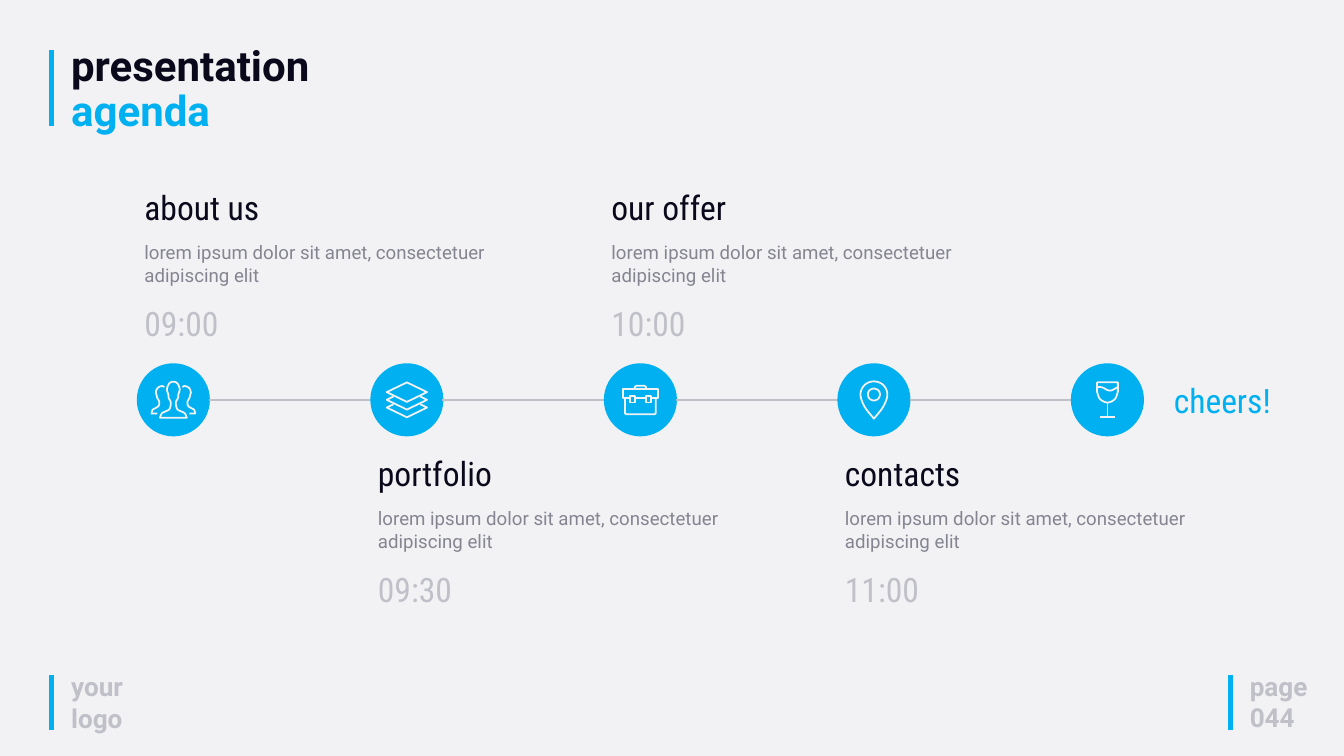
from lxml import etree
from pptx import Presentation
from pptx.dml.color import RGBColor
from pptx.enum.shapes import MSO_CONNECTOR, MSO_SHAPE
from pptx.enum.text import MSO_AUTO_SIZE
from pptx.oxml.ns import qn
from pptx.util import Inches, Pt

STRAIGHT, OVAL = MSO_CONNECTOR.STRAIGHT, MSO_SHAPE.OVAL
FIT_TEXT = MSO_AUTO_SIZE.SHAPE_TO_FIT_TEXT
BACKGROUND = RGBColor(0xF2, 0xF2, 0xF5)
BLUE = RGBColor(0x00, 0xB0, 0xF0)
DARK = RGBColor(0x0A, 0x09, 0x1B)
GREY = RGBColor(0x85, 0x85, 0x91)
LIGHT = RGBColor(0xC0, 0xC0, 0xC8)
BODY, CONDENSED = "Roboto", "Roboto Condensed"

LOREM = "lorem ipsum dolor sit amet, consectetuer adipiscing elit"
STOPS = [
    ("about us", LOREM, "09:00", "people"),
    ("portfolio", LOREM, "09:30", "layers"),
    ("our offer", LOREM, "10:00", "briefcase"),
    ("contacts", LOREM, "11:00", "pin"),
    ("cheers!", None, None, "glass"),
]
ACCENT_BARS = [(0.77, 0.75, 1.13), (0.77, 10.05, 0.81), (18.31, 10.05, 0.81)]

LEFT, PITCH, DISC, AXIS = 2.05, 3.475, 1.06, 5.95
TEXT_TOPS = (2.73, 6.69)  # above and below the axis, in turn
BODY_DROP, TIME_DROP = 0.81, 1.73


def mirror(points):
    return [(-x, y) for x, y in points]


def symmetric(right_half):
    """Complete an outline whose right half runs down from the top."""
    return mirror(right_half[:0:-1]) + right_half


def smooth(points, steps=6):
    """Run a Catmull-Rom curve through the points."""
    ends = [points[0], *points, points[-1]]
    curve = [points[0]]
    for a, b, c, d in zip(ends, ends[1:], ends[2:], ends[3:]):
        for n in range(1, steps + 1):
            t = n / steps
            curve.append(tuple(
                (2 * q + (r - p) * t + (2 * p - 5 * q + 4 * r - s) * t ** 2
                 + (3 * q - p - 3 * r + s) * t ** 3) / 2
                for p, q, r, s in zip(a, b, c, d)))
    return curve


def box(left, top, right, bottom):
    return [(left, top), (right, top), (right, bottom), (left, bottom)]


def chevron(y):
    return [(-20, y - 5), (-30, y), (0, y + 14.5), (30, y), (20, y - 5)]


PERSON = symmetric([(0, -27), (6, -24.5), (9.5, -16), (7.5, -8), (7, -3), (4, 3),
                    (4, 8), (6, 14), (11, 17), (17, 20), (20, 26.5)])
NEIGHBOUR = smooth([(13.5, -19), (17, -20.5), (23, -18), (26, -12), (25, -7),
                    (24, -3), (21, 3), (22, 9), (27, 12.5), (31, 15), (32.5, 20.5)])
NEIGHBOUR.append((24, 20.5))
PIN = symmetric([(0, -27.5), (14, -22), (20, -8), (14, 10), (0, 28)])
BOWL = smooth([(15.5, -12), (11, -1), (0, 4), (-11, -1), (-15.5, -12)])

# Strokes as (points, closed), in hundredths of an inch from the disc's centre
ICONS = {
    "people": [(smooth(PERSON), True), (NEIGHBOUR, False), (mirror(NEIGHBOUR), False)],
    "layers": [([(0, -26), (30, -11.5), (0, 3), (-30, -11.5)], True),
               (chevron(0), False), (chevron(11.5), False)],
    "briefcase": [
        ([(-8.5, -16), (-8.5, -19), (-6, -21), (6, -21), (8.5, -19), (8.5, -16)], False),
        ([(-16, -3), (-26, -3), (-26, -16), (26, -16), (26, -3), (16, -3)], False),
        ([(-8.5, -3), (8.5, -3)], False),
        ([(-23, -3), (-23, 20), (-21, 21.5), (21, 21.5), (23, 20), (23, -3)], False),
        (box(-16, -6, -8.5, 4), True), (box(8.5, -6, 16, 4), True)],
    "pin": [(smooth(PIN), True),
            (smooth([(0, -17), (6.4, -14.4), (9, -8), (6.4, -1.6), (0, 1),
                     (-6.4, -1.6), (-9, -8), (-6.4, -14.4), (0, -17)]), True)],
    "glass": [([(-15.5, -26), (15.5, -26), *BOWL], True),
              (smooth([(-15.5, -19), (-8, -18.5), (0, -14.5), (6, -14), (15.5, -19)]), False),
              ([(0, 4), (0, 26)], False), ([(-11, 26), (11, 26)], False)],
}


def add_text(slide, left, top, width, height, lines, size, color, font=BODY, bold=False):
    tb = slide.shapes.add_textbox(*map(Inches, (left, top, width, height)))
    tf = tb.text_frame
    tf.word_wrap = True
    tf.auto_size = FIT_TEXT
    tf.text = lines
    for p in tf.paragraphs:
        p.font.size, p.font.name, p.font.bold = Pt(size), font, bold
        p.font.color.rgb = color
    return tf


def add_line(slide, x1, y1, x2, y2, color, width):
    line = slide.shapes.add_connector(STRAIGHT, *map(Inches, (x1, y1, x2, y2)))
    line.line.color.rgb = color
    line.line.width = Pt(width)
    etree.SubElement(line._element.spPr, qn("a:effectLst"))


def add_disc(slide, left):
    sp = slide.shapes.add_shape(OVAL, *map(Inches, (left, AXIS - DISC / 2, DISC, DISC)))
    sp.shadow.inherit = False
    sp.fill.solid()
    sp.fill.fore_color.rgb = sp.line.color.rgb = BLUE
    sp.line.width = Pt(2)


def add_icon(slide, name, center):
    for points, closed in ICONS[name]:
        spots = [(Inches(center + x / 100), Inches(AXIS + y / 100)) for x, y in points]
        fb = slide.shapes.build_freeform(*spots[0])
        fb.add_line_segments(spots[1:], close=closed)
        sp = fb.convert_to_shape()
        sp.shadow.inherit = False
        sp.fill.background()
        sp.line.color.rgb = BACKGROUND
        sp.line.width = Pt(1.9)


def add_stop(slide, index, title, body, time, icon):
    left = LEFT + index * PITCH
    if index:
        add_line(slide, left - PITCH + DISC, AXIS, left, AXIS, LIGHT, 2)
    add_disc(slide, left)
    add_icon(slide, icon, left + DISC / 2)
    if body is None:
        add_text(slide, left + 1.42, 5.6, 2.06, 0.71, title, 36, BLUE, CONDENSED)
        return
    top = TEXT_TOPS[index % 2]
    add_text(slide, left, top, 2.76, 0.71, title, 36, DARK, CONDENSED)
    add_text(slide, left, top + BODY_DROP, 5.41, 0.77, body, 20, GREY)
    add_text(slide, left, top + TIME_DROP, 2.33, 0.71, time, 36, LIGHT, CONDENSED)


def main():
    prs = Presentation()
    prs.slide_width, prs.slide_height = Inches(20), Inches(11.25)
    slide = prs.slides.add_slide(prs.slide_layouts[6])
    slide.background.fill.solid()
    slide.background.fill.fore_color.rgb = BACKGROUND

    for x, top, height in ACCENT_BARS:
        add_line(slide, x, top, x, top + height, BLUE, 5)

    heading = add_text(slide, 0.96, 0.62, 5.96, 1.46, "presentation\vagenda", 45, DARK, bold=True)
    p = heading.paragraphs[0]
    p.line_spacing = 0.9
    p.runs[1].font.color.rgb = BLUE
    add_text(slide, 0.96, 9.93, 1.19, 1.04, "your logo", 28, LIGHT, bold=True)
    add_text(slide, 18.5, 9.92, 1.9, 1.04, "page\n044", 28, LIGHT, bold=True)

    for index, stop in enumerate(STOPS):
        add_stop(slide, index, *stop)
    prs.save("out.pptx")


if __name__ == "__main__":
    main()
